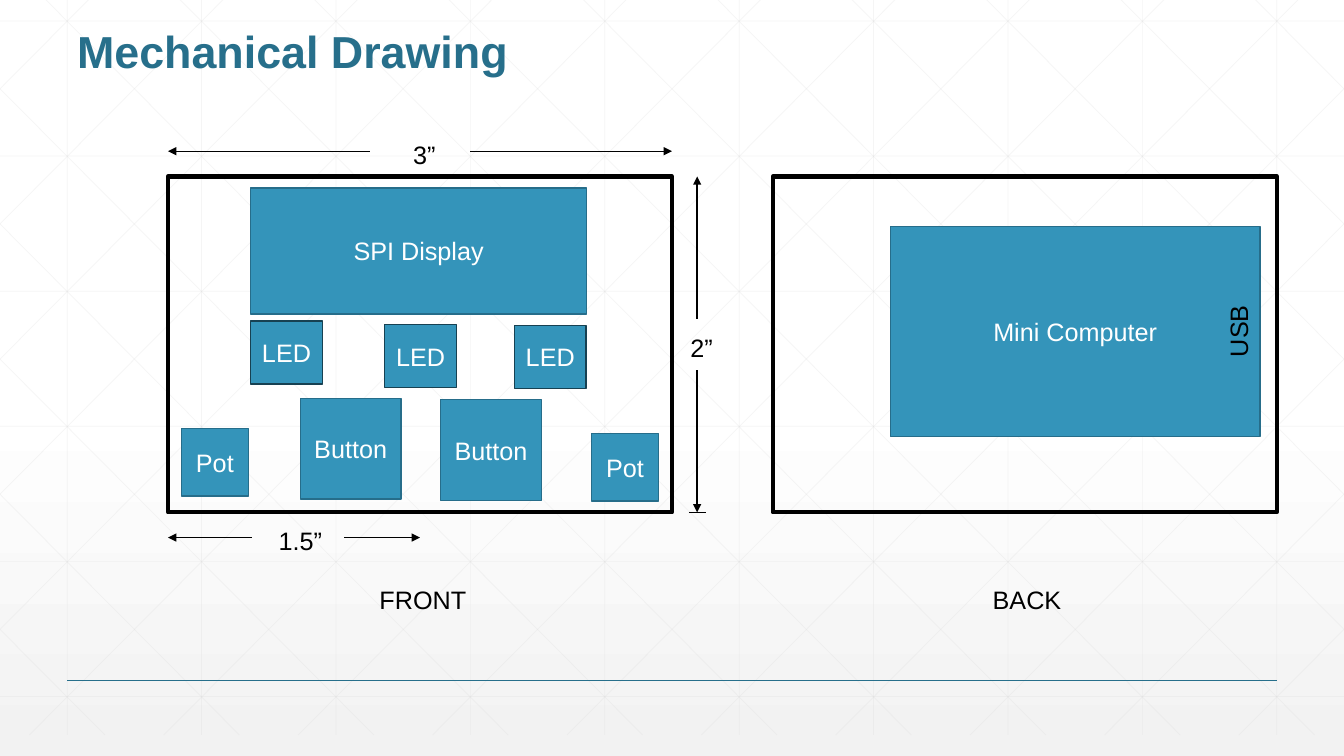
import pptx
import pptx.util
import pptx.dml.color
import pptx.enum.shapes
import pptx.enum.text
import pptx.oxml
import pptx.oxml.ns

Pt = pptx.util.Pt
FONT = "Arial"
COLOURS = {
    "title": "276F8B", "part": "3494BA", "part_edge": "266D8A",
    "led_edge": "174152", "ink": "000000", "light": "FFFFFF",
    "grid": "D9D9D9", "bottom": "F2F2F2",
}

# Content: lengths in points
WIDTH, HEIGHT = 960, 540
TITLE = "Mechanical Drawing"
BOARD_LEFTS, BOARD_TOP, BOARD_SIZE = (120, 552), 126, (360, 240)
# label, size, edge colour, left-top corners
PARTS = [
    ("SPI Display", (240, 90), "part_edge", [(179, 134.2)]),
    ("Button", (72, 72), "part_edge", [(214.5, 284.5), (314.8, 285.6)]),
    ("Mini Computer", (264, 150), "part_edge", [(636, 162)]),
    ("Pot", (48, 48), "part_edge", [(129.5, 306.2), (422.5, 309.8)]),
    ("LED", (51.3, 45), "led_edge", [(179, 229.2), (274.8, 231.8), (367.4, 232.4)]),
]
# text, left, top, width, rotation
LABELS = [
    ("FRONT", 264, 414, 77, 0),
    ("BACK", 702, 414, 64, 0),
    ("3”", 288, 96, 31, 0),
    ("2”", 486, 234, 31, 0),
    ("1.5”", 192, 372, 46, 0),
    ("USB", 858.4, 221.6, 52, 270),
]
LABEL_HEIGHT = 29
# arrow tip, plain end
DIMENSION_ARROWS = [
    ((120, 108), (264, 108)), ((480, 108), (336, 108)),
    ((498, 126), (498, 228)), ((498, 366), (498, 264)),
    ((120, 384), (180, 384)), ((300, 384), (246, 384)),
]
DIMENSION_TICK = ((492, 366), (504, 366))
FOOTER_RULE = ((48, 486), (912, 486))

# Background grid
GRID_STEP, ROW_STEP = 96, 96.5
GRID_TOP, GRID_BOTTOM = -15, 525
DIAGONAL_START, DIAGONAL_RUN = 18, 537

prs = pptx.Presentation()
prs.slide_width, prs.slide_height = Pt(WIDTH), Pt(HEIGHT)
slide = prs.slides.add_slide(prs.slide_layouts[6])


def rgb(name):
    return pptx.dml.color.RGBColor.from_string(COLOURS[name])


def add_xml(parent, tag, **attributes):
    child = pptx.oxml.parse_xml(f"<a:{tag} {pptx.oxml.ns.nsdecls('a')}/>")
    for key, value in attributes.items():
        child.set(key, str(value))
    parent.append(child)
    return child


def add_line(start, end, colour="ink", weight=1, opacity=None, arrow=False):
    line = slide.shapes.add_connector(
        pptx.enum.shapes.MSO_CONNECTOR.STRAIGHT, *map(Pt, (*start, *end)))
    line.line.color.rgb = rgb(colour)
    line.line.width = Pt(weight)
    stroke = line.element.spPr.find(pptx.oxml.ns.qn("a:ln"))
    if opacity:
        shade = stroke.find(".//" + pptx.oxml.ns.qn("a:srgbClr"))
        add_xml(shade, "alpha", val=opacity * 1000)
    if arrow:
        add_xml(stroke, "headEnd", type="triangle")
    add_xml(line.element.spPr, "effectLst")


def add_rect(corner, size, edge, weight, fill=None):
    rect = slide.shapes.add_shape(
        pptx.enum.shapes.MSO_SHAPE.RECTANGLE, *map(Pt, (*corner, *size)))
    rect.shadow.inherit = False
    if fill:
        rect.fill.solid()
        rect.fill.fore_color.rgb = rgb(fill)
    else:
        rect.fill.background()
    rect.line.color.rgb = rgb(edge)
    rect.line.width = Pt(weight)
    return rect


def write(shape, text, colour, size=18, bold=False):
    paragraph = shape.text_frame.paragraphs[0]
    run = paragraph.add_run()
    run.text = text
    run.font.name, run.font.size, run.font.bold = FONT, Pt(size), bold
    run.font.color.rgb = rgb(colour)
    return paragraph


# Background gradient, white to light grey
background = slide.background.fill
background.gradient()
background.gradient_angle = 270
stops = slide.element.find(".//" + pptx.oxml.ns.qn("a:gsLst"))
for default_stop in list(stops):
    stops.remove(default_stop)
for position, colour, opacity in [(0, "light", 100), (53, "light", 100), (100, "bottom", 65)]:
    stop = add_xml(stops, "gs", pos=position * 1000)
    shade = add_xml(stop, "srgbClr", val=COLOURS[colour])
    if opacity < 100:
        add_xml(shade, "alpha", val=opacity * 1000)

# Background grid: columns, rows, then diagonals both ways, cut at the slide sides
grid = [((x, GRID_TOP), (x, GRID_BOTTOM)) for x in range(48, WIDTH, GRID_STEP)]
grid += [((0, 15 + ROW_STEP * row), (WIDTH, 15 + ROW_STEP * row)) for row in range(6)]
slope = (GRID_BOTTOM - GRID_TOP) / DIAGONAL_RUN
for step in range(-5, 10):
    x = DIAGONAL_START + GRID_STEP * step
    left, right = max(x, 0), min(x + DIAGONAL_RUN, WIDTH)
    top, bottom = (GRID_TOP + (side - x) * slope for side in (left, right))
    grid += [((left, top), (right, bottom)), ((WIDTH - left, top), (WIDTH - right, bottom))]
for start, end in grid:
    add_line(start, end, "grid", 0.5, opacity=25)
add_line(*FOOTER_RULE, "title")

# Title
title = slide.shapes.add_textbox(Pt(48), Pt(18), Pt(864), Pt(72))
title.text_frame.word_wrap = True
write(title, TITLE, "title", 32, True).line_spacing = 0.9

# Boards and the parts on them
for left in BOARD_LEFTS:
    add_rect((left, BOARD_TOP), BOARD_SIZE, "ink", 3)
for name, size, edge, corners in PARTS:
    for corner in corners:
        part = add_rect(corner, size, edge, 1, "part")
        part.text_frame.vertical_anchor = pptx.enum.text.MSO_ANCHOR.MIDDLE
        write(part, name, "light").alignment = pptx.enum.text.PP_ALIGN.CENTER

# Dimensions
for tip, end in DIMENSION_ARROWS:
    add_line(tip, end, arrow=True)
add_line(*DIMENSION_TICK)

# Labels
for text, left, top, width, rotation in LABELS:
    label = slide.shapes.add_textbox(Pt(left), Pt(top), Pt(width), Pt(LABEL_HEIGHT))
    label.rotation = rotation
    label.text_frame.word_wrap = False
    label.text_frame.auto_size = pptx.enum.text.MSO_AUTO_SIZE.SHAPE_TO_FIT_TEXT
    write(label, text, "ink")

prs.save("out.pptx")
